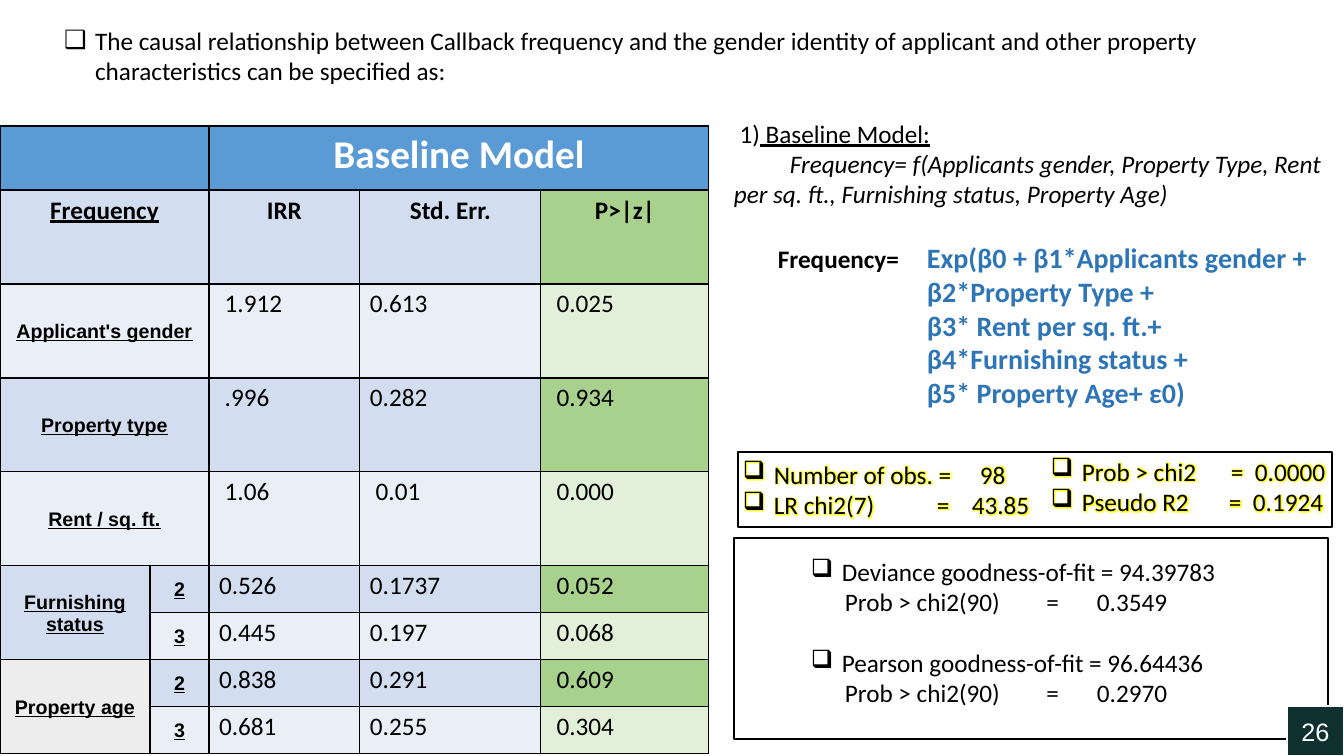
from lxml.etree import SubElement, Element
from pptx import Presentation
from pptx.dml.color import RGBColor
from pptx.enum.shapes import MSO_SHAPE
from pptx.enum.text import MSO_ANCHOR, MSO_AUTO_SIZE, PP_ALIGN
from pptx.oxml.ns import qn
from pptx.util import Inches, Pt

BLACK = RGBColor(0, 0, 0)
WHITE = RGBColor(255, 255, 255)
BLUE = RGBColor(0x5B, 0x9B, 0xD5)
FORMULA = RGBColor(0x2E, 0x75, 0xB6)
BAND_DARK = RGBColor(0xD2, 0xDE, 0xEF)
BAND_LIGHT = RGBColor(0xEA, 0xEF, 0xF7)
GREEN_DARK = RGBColor(0xA9, 0xD1, 0x8E)
GREEN_LIGHT = RGBColor(0xE2, 0xF0, 0xD9)
GREY = RGBColor(0xED, 0xED, 0xED)
PAGE_GREEN = RGBColor(0x0E, 0x30, 0x2F)
GLOW = RGBColor(255, 255, 0)

COLS = [150, 59, 151, 181, 168]
ROWS = [64] + [94] * 4 + [47] * 4
MEASURES = [
    ("IRR", "Std. Err.", "P>|z|"),
    (" 1.912", "0.613", " 0.025"),
    (" .996", "0.282", " 0.934"),
    (" 1.06", " 0.01", " 0.000"),
    ("0.526", "0.1737", " 0.052"),
    ("0.445", "0.197", " 0.068"),
    ("0.838", "0.291", " 0.609"),
    ("0.681", "0.255", " 0.304"),
]
LABELS = ["Frequency", "Applicant's gender", "Property type", "Rent / sq. ft."]
GROUPS = [("Furnishing status", BAND_DARK), ("Property age", GREY)]


def px(n):
    """Turn pixels into EMU."""
    return round(n * Inches(1) / 100.8)


def style(p, size=18, color=BLACK, font="Calibri", **flags):
    """Format every run of a paragraph."""
    for r in p.runs:
        r.font.size, r.font.name = Pt(size), font
        r.font.color.rgb = color
        for name, value in flags.items():
            setattr(r.font, name, value)


def indent(p, left, first):
    """Set left margin and first-line indent."""
    pPr = p._p.get_or_add_pPr()
    pPr.set("marL", str(px(left)))
    pPr.set("indent", str(px(first)))


def bullet(p):
    """Give a paragraph a hanging box bullet."""
    indent(p, 31, -31)
    SubElement(p._p.get_or_add_pPr(), qn("a:buChar"), char="❑")


def add_tabs(p, stops):
    """Add left tab stops."""
    tabs = SubElement(p._p.get_or_add_pPr(), qn("a:tabLst"))
    for stop in stops:
        SubElement(tabs, qn("a:tab"), pos=str(px(stop)), algn="l")


def add_glow(p):
    """Put a yellow glow behind the runs."""
    for r in p.runs:
        effects = Element(qn("a:effectLst"))
        glow = SubElement(effects, qn("a:glow"), rad=str(px(7)))
        SubElement(glow, qn("a:srgbClr"), val=str(GLOW))
        r._r.rPr.find(qn("a:solidFill")).addnext(effects)


def add_text(s, box, lines):
    """Add a wrapping text box and return its paragraphs."""
    tf = s.shapes.add_textbox(*map(px, box)).text_frame
    tf.word_wrap = True
    tf.text = "\n".join(lines)
    return tf.paragraphs


def add_box(s, box, line, fill=None):
    """Add a rectangle without shadow."""
    sp = s.shapes.add_shape(MSO_SHAPE.RECTANGLE, *map(px, box))
    sp.shadow.inherit = False
    sp.line.color.rgb, sp.line.width = line, Pt(1)
    if fill is None:
        sp.fill.background()
    else:
        sp.fill.solid()
        sp.fill.fore_color.rgb = fill
    return sp


def add_intro(s, box):
    """Place the opening bullet in the body placeholder."""
    title, body = s.shapes.title, s.placeholders[1]
    title._element.getparent().remove(title._element)
    body.left, body.top, body.width, body.height = map(px, box)
    tf = body.text_frame
    tf.auto_size = MSO_AUTO_SIZE.NONE
    tf.text = ("The causal relationship between Callback frequency and the gender identity "
               "of applicant and other property characteristics can be specified as:")
    p = tf.paragraphs[0]
    p.space_before = Pt(0)
    bullet(p)
    style(p)


def set_cell(cell, text, fill, label=False, center=False, **fmt):
    """Fill, border and write one table cell."""
    tcPr = cell._tc.get_or_add_tcPr()
    for side in ("lnL", "lnR", "lnT", "lnB"):
        ln = SubElement(tcPr, qn("a:" + side), w=str(Pt(1)))
        SubElement(SubElement(ln, qn("a:solidFill")), qn("a:srgbClr"), val=str(BLACK))
    cell.fill.solid()
    cell.fill.fore_color.rgb = fill
    cell.text = text
    p = cell.text_frame.paragraphs[0]
    if label:
        cell.vertical_anchor = MSO_ANCHOR.MIDDLE
        cell.margin_left = cell.margin_right = cell.margin_top = px(1)
        cell.margin_bottom = 0
        fmt = dict(size=14, font="Arial", bold=True, underline=True)
    if label or center:
        p.alignment = PP_ALIGN.CENTER
    style(p, **{"bold": False, **fmt})


def add_table(s, box):
    """Add the regression results table."""
    tbl = s.shapes.add_table(len(ROWS), len(COLS), *map(px, box)).table
    tbl.first_row = tbl.horz_banding = False
    for col, width in zip(tbl.columns, COLS):
        col.width = px(width)
    for row, height in zip(tbl.rows, ROWS):
        row.height = px(height)
    for i in range(5):
        tbl.cell(i, 0).merge(tbl.cell(i, 1))
    tbl.cell(0, 2).merge(tbl.cell(0, 4))
    for j in range(5):
        set_cell(tbl.cell(0, j), "Baseline Model" if j == 2 else "", BLUE,
                 center=True, size=28, color=WHITE, bold=True)
    for i, values in enumerate(MEASURES, 1):
        band, green = (BAND_DARK, GREEN_DARK) if i % 2 else (BAND_LIGHT, GREEN_LIGHT)
        for j, value in enumerate(values, 2):
            set_cell(tbl.cell(i, j), value, green if j == 4 else band, center=i == 1, bold=i == 1)
        if i < 5:
            set_cell(tbl.cell(i, 0), LABELS[i - 1], band, label=i > 1,
                     center=True, bold=True, underline=True)
            set_cell(tbl.cell(i, 1), "", band)
        else:
            set_cell(tbl.cell(i, 1), "2" if i % 2 else "3", band, label=True)
    for i, (text, fill) in zip((5, 7), GROUPS):
        tbl.cell(i, 0).merge(tbl.cell(i + 1, 0))
        set_cell(tbl.cell(i, 0), text, fill, label=True)
        set_cell(tbl.cell(i + 1, 0), "", fill)


def add_model(s, box):
    """Write the baseline model and its formula."""
    x, y, w, h = box
    head, function = add_text(s, (x, y, w, 102), [
        " 1)",
        "Frequency= f(Applicants gender, Property Type, Rent per sq. ft., "
        "Furnishing status, Property Age)"])
    head.add_run().text = " Baseline Model:"
    style(head)
    head.runs[1].font.underline = True
    indent(function, 0, 56)
    style(function, italic=True)
    style(add_text(s, (x + 44, y + 125, 152, 40), ["Frequency="])[0], bold=True)
    for p in add_text(s, (x + 193, y + 123, w - 193, h - 123), [
            "Exp(β0 + β1*Applicants gender +", "β2*Property Type +",
            "β3* Rent per sq. ft.+", "β4*Furnishing status +", "β5* Property Age+ ε0)"]):
        style(p, size=20, color=FORMULA, bold=True)


def add_fit(s, box):
    """Add the framed, glowing fit statistics."""
    x, y, w, h = box
    columns = [
        ((x - 5, y + 2, 350, 72), ["Number of obs. =\t98", "LR chi2(7)\t=\t43.85"],
         [(237,), (194, 229)]),
        ((x + 303, y - 1, 383, 72), ["Prob > chi2\t=\t0.0000", "Pseudo R2\t=\t0.1924"],
         [(180, 204), (178, 202)]),
    ]
    for area, lines, stops in columns:
        for p, tabs in zip(add_text(s, area, lines), stops):
            bullet(p)
            add_tabs(p, tabs)
            style(p)
            add_glow(p)
    add_box(s, box, BLACK)


def add_goodness(s, box):
    """Add the framed goodness-of-fit tests."""
    x, y, w, h = box
    paragraphs = add_text(s, (x + 67, y + 13, w - 67, h - 13), [
        "Deviance goodness-of-fit = 94.39783", "Prob > chi2(90)\t=\t0.3549",
        "Pearson goodness-of-fit = 96.64436", "Prob > chi2(90)\t=\t0.2970"])
    for i, p in enumerate(paragraphs):
        if i % 2:
            indent(p, 34, 0)
            add_tabs(p, (247, 282))
        else:
            bullet(p)
        style(p)
    paragraphs[2].space_before = Pt(22)
    add_box(s, box, BLACK)


def add_page_number(s, box):
    """Add the page number block."""
    tf = add_box(s, box, WHITE, PAGE_GREEN).text_frame
    tf.text = "26"
    tf.vertical_anchor = MSO_ANCHOR.MIDDLE
    tf.paragraphs[0].alignment = PP_ALIGN.CENTER
    style(tf.paragraphs[0], color=WHITE, font="Arial")


def main():
    """Build and save the slide."""
    prs = Presentation()
    prs.slide_width, prs.slide_height = px(1344), px(756)
    s = prs.slides.add_slide(prs.slide_layouts[1])
    add_intro(s, (54, 20, 1237, 102))
    add_table(s, (0, 126, sum(COLS), sum(ROWS)))
    add_model(s, (724, 113, 620, 302))
    add_fit(s, (738, 452, 594, 75))
    add_goodness(s, (734, 538, 594, 201))
    add_page_number(s, (1287, 706, 57, 50))
    prs.save("out.pptx")


if __name__ == "__main__":
    main()
